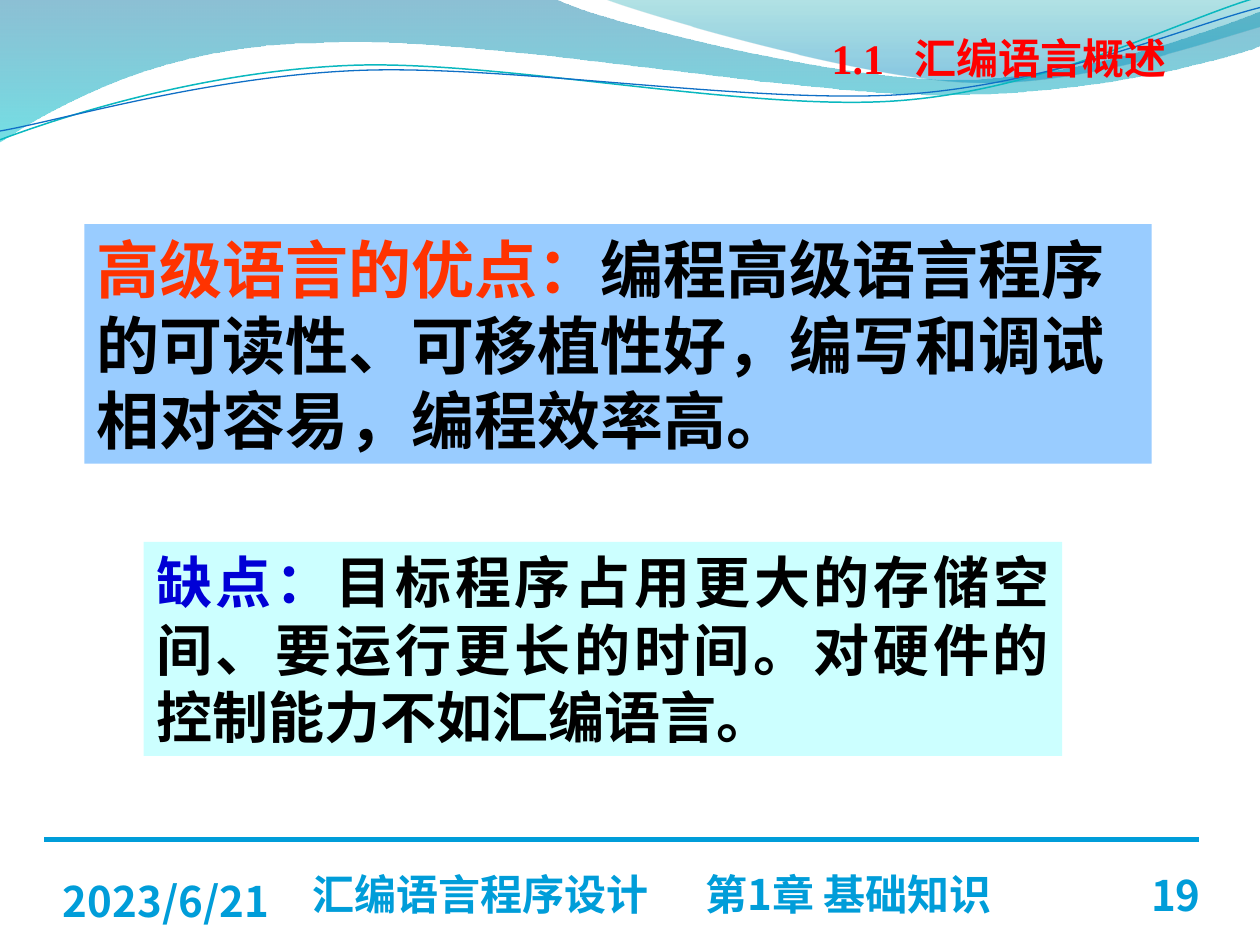
from dataclasses import dataclass

from lxml.etree import SubElement
from pptx import Presentation
from pptx.dml.color import RGBColor
from pptx.enum.shapes import MSO_CONNECTOR, MSO_SHAPE
from pptx.enum.text import MSO_ANCHOR, MSO_AUTO_SIZE, PP_ALIGN
from pptx.oxml.ns import qn
from pptx.util import Inches, Pt

RED = RGBColor(0xFF, 0x00, 0x00)
ORANGE = RGBColor(0xFF, 0x33, 0x00)
NAVY = RGBColor(0x00, 0x00, 0xD6)
BLACK = RGBColor(0x00, 0x00, 0x00)
SKY = RGBColor(0x99, 0xCC, 0xFF)
MINT = RGBColor(0xCC, 0xFF, 0xFF)
CYAN = RGBColor(0x00, 0x9D, 0xD9)
DEEP_BLUE = RGBColor(0x00, 0x74, 0xA1)
AQUA = RGBColor(0x00, 0xC6, 0xCF)
TEAL = RGBColor(0x00, 0xA1, 0xA9)
OCEAN = RGBColor(0x00, 0x8B, 0xBF)
LINE_TEAL = RGBColor(0x0A, 0xB8, 0xBF)
LINE_BLUE = RGBColor(0x0F, 0x6F, 0xC6)

SC = "Noto Sans CJK SC"
JP = "Noto Sans CJK JP"
TIMES = "Times New Roman"


@dataclass
class Stop:
    position: float
    color: RGBColor
    alpha: int


@dataclass
class Band:
    start: tuple
    segments: list
    stops: list


@dataclass
class Wave:
    start: tuple
    segments: list
    color: RGBColor
    width: float


@dataclass
class Panel:
    box: tuple
    fill: RGBColor
    lead: str
    lead_color: RGBColor
    body: str
    size: int
    font: str
    align: PP_ALIGN


@dataclass
class Footer:
    box: tuple
    text: str
    align: PP_ALIGN = PP_ALIGN.LEFT
    tab: float = 0


BANDS = [
    Band((0, -0.01),
         [(4.4, -0.01),
          (4.76, 0.17, 6.64, 0.63, 7.58, 0.63),
          (8.53, 0.63, 9.58, 0.26, 10, 0.09),
          (10.01, 0.36),
          (9.83, 0.44, 8.7, 0.76, 7.46, 0.75),
          (6.22, 0.75, 3.82, 0.28, 2.57, 0.34),
          (1.29, 0.35, 0.46, 0.83, -0.01, 1.13)],
         [Stop(0, DEEP_BLUE, 45), Stop(1, AQUA, 55)]),
    Band((4.79, -0.01),
         [(5.09, 0.11, 6.82, 0.62, 7.69, 0.65),
          (8.56, 0.69, 9.61, 0.32, 10, 0.21),
          (10, 0)],
         [Stop(0, TEAL, 30), Stop(0.8, OCEAN, 45)]),
]
WAVES = [
    Wave((0, 1.11),
         [(0.48, 0.93, 1.58, 0.57, 2.77, 0.52),
          (3.95, 0.47, 5.93, 0.89, 7.13, 0.8),
          (8.33, 0.71, 9.38, 0.15, 9.98, -0.02)], LINE_TEAL, 0.85),
    Wave((0, 1.04),
         [(0.47, 0.96, 1.64, 0.61, 2.83, 0.56),
          (4.03, 0.51, 5.97, 0.83, 7.17, 0.75),
          (8.36, 0.67, 9.41, 0.21, 10, 0.06)], LINE_BLUE, 0.75),
]
PANELS = [
    Panel((0.67, 1.78, 8.47, 1.9), SKY, "高级语言的优点：", ORANGE,
          "编程高级语言程序的可读性、可移植性好，编写和调试相对容易，编程效率高。",
          36, SC, PP_ALIGN.LEFT),
    Panel((1.14, 4.3, 7.29, 1.7), MINT, "缺点：", NAVY,
          "目标程序占用更大的存储空间、要运行更长的时间。对硬件的控制能力不如汇编语言。",
          32, TIMES, PP_ALIGN.JUSTIFY),
]
FOOTERS = [
    Footer((0.5, 6.95, 2.33, 0.4), "2023/6/21"),
    Footer((8.7, 6.9, 0.83, 0.4), "19", PP_ALIGN.RIGHT),
    Footer((2.48, 6.9, 5.83, 0.39), "汇编语言程序设计\t第1章 基础知识", tab=3.12),
]


def inches(box: tuple) -> list:
    return [Inches(v) for v in box]


def draw_outline(s, start: tuple, segments: list, close: bool):
    points = [inches(seg[i:i + 2]) for seg in segments for i in range(0, len(seg), 2)]
    fb = s.shapes.build_freeform(*inches(start), scale=1.0)
    fb.add_line_segments(points, close=close)
    sp = fb.convert_to_shape()
    sp.shadow.inherit = False
    steps = iter(list(sp.element.iter(qn("a:lnTo"))))
    for seg in segments:
        step = next(steps)
        if len(seg) == 6:
            curve = step.makeelement(qn("a:cubicBezTo"))
            step.addprevious(curve)
            for part in (step, next(steps), next(steps)):
                curve.append(part[0])
                part.getparent().remove(part)
    return sp


def draw_band(s, band: Band) -> None:
    sp = draw_outline(s, band.start, band.segments, True)
    sp.line.fill.background()
    sp.fill.gradient()
    sp.fill.gradient_angle = 270
    for gs, stop in zip(sp.fill.gradient_stops, band.stops):
        gs.position = stop.position
        gs.color.rgb = stop.color
    colors = sp.element.spPr.find(qn("a:gradFill")).iter(qn("a:srgbClr"))
    for clr, stop in zip(colors, band.stops):
        SubElement(clr, qn("a:alpha"), val=str(stop.alpha * 1000))


def draw_wave(s, wave: Wave) -> None:
    sp = draw_outline(s, wave.start, wave.segments, False)
    sp.fill.background()
    sp.line.color.rgb = wave.color
    sp.line.width = Pt(wave.width)


def add_run(p, text: str, size: int, color: RGBColor, font: str, asian: str) -> None:
    r = p.add_run()
    r.text = text
    r.font.size = Pt(size)
    r.font.bold = True
    r.font.color.rgb = color
    r.font.name = font
    SubElement(r.font._element, qn("a:ea"), typeface=asian)


def add_tab(p, pos: float) -> None:
    tabs = SubElement(p._p.get_or_add_pPr(), qn("a:tabLst"))
    SubElement(tabs, qn("a:tab"), pos=str(Inches(pos)), algn="l")


def draw_panel(s, panel: Panel) -> None:
    sp = s.shapes.add_shape(MSO_SHAPE.RECTANGLE, *inches(panel.box))
    sp.shadow.inherit = False
    sp.fill.solid()
    sp.fill.fore_color.rgb = panel.fill
    sp.line.fill.background()
    tf = sp.text_frame
    tf.word_wrap = True
    tf.vertical_anchor = MSO_ANCHOR.TOP
    p = tf.paragraphs[0]
    p.alignment = panel.align
    add_run(p, panel.lead, panel.size, panel.lead_color, panel.font, SC)
    add_run(p, panel.body, panel.size, BLACK, panel.font, SC)


def draw_footer(s, footer: Footer) -> None:
    tf = s.shapes.add_textbox(*inches(footer.box)).text_frame
    tf.word_wrap = True
    tf.vertical_anchor = MSO_ANCHOR.BOTTOM
    tf.margin_left = tf.margin_right = tf.margin_top = tf.margin_bottom = 0
    p = tf.paragraphs[0]
    p.alignment = footer.align
    if footer.tab:
        add_tab(p, footer.tab)
    add_run(p, footer.text, 24, CYAN, JP, JP)


def draw_rule(s) -> None:
    rule = s.shapes.add_connector(MSO_CONNECTOR.STRAIGHT, *inches((0.35, 6.66, 9.52, 6.66)))
    rule.line.color.rgb = CYAN
    rule.line.width = Pt(3)
    SubElement(rule.element.spPr, qn("a:effectLst"))


def place_title(s) -> None:
    title = s.shapes.title
    title.left, title.top, title.width, title.height = inches((6.5, 0.21, 3.15, 0.5))
    s.shapes.element.append(title.element)
    tf = title.text_frame
    tf.word_wrap = True
    tf.auto_size = MSO_AUTO_SIZE.NONE
    tf.vertical_anchor = MSO_ANCHOR.TOP
    p = tf.paragraphs[0]
    p.alignment = PP_ALIGN.LEFT
    add_tab(p, 0.66)
    add_run(p, "1.1\t汇编语言概述", 24, RED, TIMES, SC)


def main() -> None:
    prs = Presentation()
    prs.slide_width, prs.slide_height = Inches(10), Inches(7.5)
    s = prs.slides.add_slide(prs.slide_layouts[5])
    for band in BANDS:
        draw_band(s, band)
    for wave in WAVES:
        draw_wave(s, wave)
    draw_rule(s)
    for panel in PANELS:
        draw_panel(s, panel)
    place_title(s)
    for footer in FOOTERS:
        draw_footer(s, footer)
    prs.save("out.pptx")


if __name__ == "__main__":
    main()
